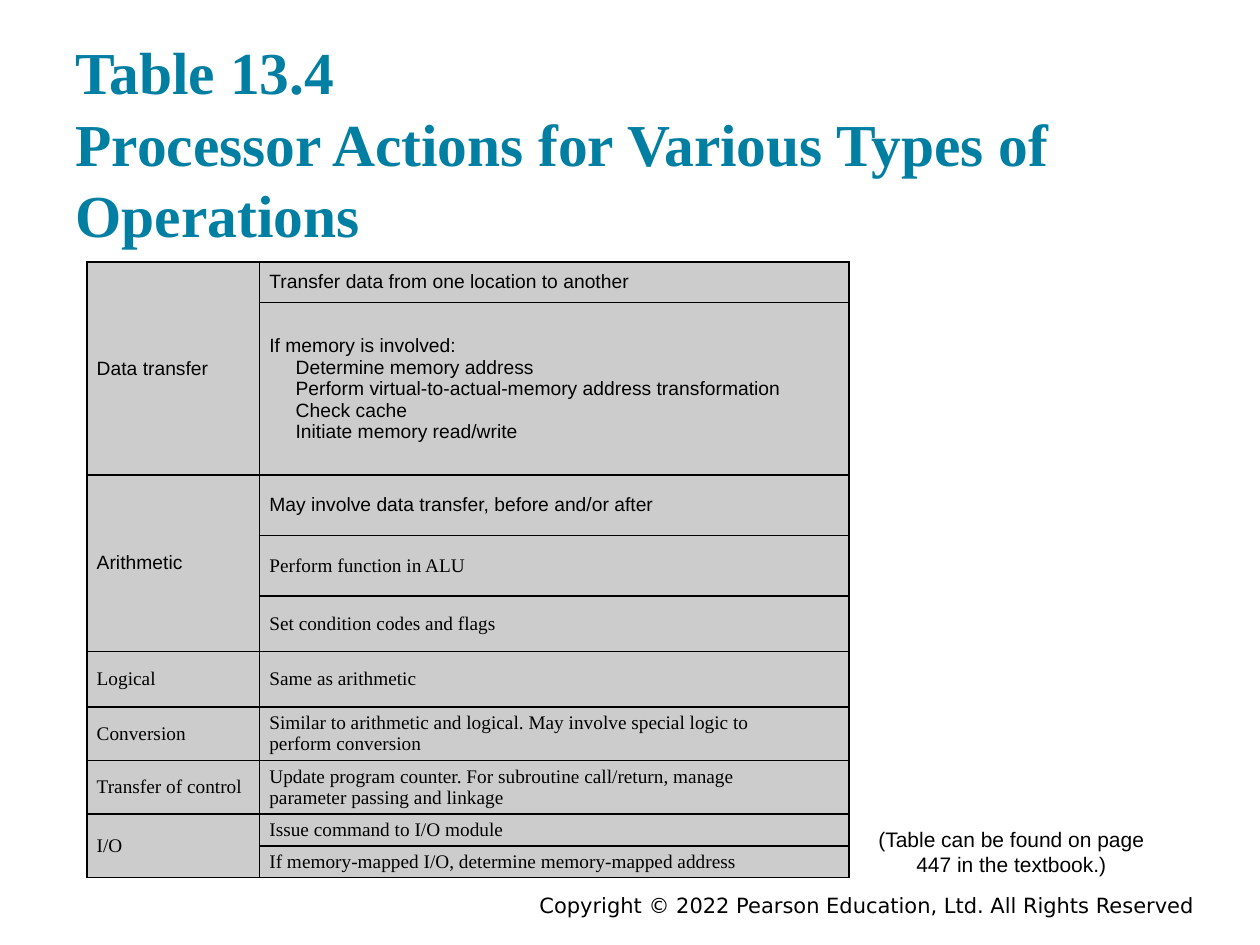
import pptx
import pptx.dml.color
import pptx.enum.text
import pptx.oxml
import pptx.oxml.ns
import pptx.util
from pptx.util import Cm

SANS, SERIF = "Arial", "Times New Roman"
TITLE_LINES = ["Table 13.4 ", "Processor Actions for Various Types of Operations"]
NOTE = "(Table can be found on page 447 in the textbook.)"
COPYRIGHT = "Copyright © 2022 Pearson Education, Ltd. All Rights Reserved"
OPERATIONS = [
    ("Data transfer", SANS, [
        (0.82, SANS, ["Transfer data from one location to another"]),
        (3.48, SANS, [
            "If memory is involved:",
            ("Determine memory address",),
            ("Perform virtual-to-actual-memory address transformation",),
            ("Check cache",),
            ("Initiate memory read/write",),
        ]),
    ]),
    ("Arithmetic", SANS, [
        (1.21, SANS, ["May involve data transfer, before and/or after"]),
        (1.22, SERIF, ["Perform function in ALU"]),
        (1.12, SERIF, ["Set condition codes and flags"]),
    ]),
    ("Logical", SERIF, [(1.12, SERIF, ["Same as arithmetic"])]),
    ("Conversion", SERIF, [
        (1.08, SERIF, ["Similar to arithmetic and logical. May involve special logic to",
                       "perform conversion"]),
    ]),
    ("Transfer of control", SERIF, [
        (1.08, SERIF, ["Update program counter. For subroutine call/return, manage",
                       "parameter passing and linkage"]),
    ]),
    ("I/O", SERIF, [
        (0.64, SERIF, ["Issue command to I/O module"]),
        (0.64, SERIF, ["If memory-mapped I/O, determine memory-mapped address"]),
    ]),
]
COLUMN_WIDTHS = [3.48, 11.88]


def color(value):
    return pptx.dml.color.RGBColor.from_string(value)


def add_run(paragraph, text, font_name, size, hex_color="000000", bold=False):
    run = paragraph.add_run()
    run.text = text
    run.font.name = font_name
    run.font.size = pptx.util.Pt(size)
    run.font.bold = bold
    run.font.color.rgb = color(hex_color)


def add_text(slide, box, text, font_name, alignment):
    shape = slide.shapes.add_textbox(*map(Cm, box))
    shape.text_frame.word_wrap = True
    paragraph = shape.text_frame.paragraphs[0]
    paragraph.alignment = alignment
    add_run(paragraph, text, font_name, 12)


def format_cell(cell):
    cell.margin_left = cell.margin_right = Cm(0.2)
    cell.margin_top = cell.margin_bottom = Cm(0.1)
    cell.vertical_anchor = pptx.enum.text.MSO_ANCHOR.MIDDLE
    properties = cell._tc.get_or_add_tcPr()
    for side in ("lnL", "lnR", "lnT", "lnB"):
        properties.append(pptx.oxml.parse_xml(
            f'<a:{side} {pptx.oxml.ns.nsdecls("a")} w="12700"><a:solidFill>'
            f'<a:srgbClr val="000000"/></a:solidFill></a:{side}>'))
    cell.fill.solid()
    cell.fill.fore_color.rgb = color("CCCCCC")


def fill_cell(cell, lines, font_name):
    for index, line in enumerate(lines):
        frame = cell.text_frame
        paragraph = frame.add_paragraph() if index else frame.paragraphs[0]
        indented = isinstance(line, tuple)
        if indented:
            paragraph._p.get_or_add_pPr().set("marL", str(Cm(0.53)))
        add_run(paragraph, line[0] if indented else line, font_name, 11)


def add_operations_table(slide):
    heights = [height for _, _, actions in OPERATIONS for height, _, _ in actions]
    frame = slide.shapes.add_table(
        len(heights), len(COLUMN_WIDTHS), Cm(1.75), Cm(5.28),
        Cm(sum(COLUMN_WIDTHS)), Cm(sum(heights)))
    table = frame.table
    table.first_row = table.horz_banding = False
    for column, width in zip(table.columns, COLUMN_WIDTHS):
        column.width = Cm(width)
    for row, height in zip(table.rows, heights):
        row.height = Cm(height)
    for cell in table.iter_cells():
        format_cell(cell)
    first = 0
    for label, label_font, actions in OPERATIONS:
        last = first + len(actions) - 1
        if last > first:
            table.cell(first, 0).merge(table.cell(last, 0))
        fill_cell(table.cell(first, 0), [label], label_font)
        for row_index, (_, font_name, lines) in enumerate(actions, first):
            fill_cell(table.cell(row_index, 1), lines, font_name)
        first = last + 1


def add_title(slide):
    title = slide.shapes.title
    title.left, title.top, title.width, title.height = map(Cm, (1.27, 0.69, 22.86, 4.47))
    frame = title.text_frame
    frame.auto_size = pptx.enum.text.MSO_AUTO_SIZE.NONE
    frame.vertical_anchor = pptx.enum.text.MSO_ANCHOR.BOTTOM
    paragraph = frame.paragraphs[0]
    paragraph.alignment = pptx.enum.text.PP_ALIGN.LEFT
    for index, line in enumerate(TITLE_LINES):
        if index:
            paragraph.add_line_break()
        add_run(paragraph, line, SERIF, 34, "007FA3", True)


def main():
    presentation = pptx.Presentation()
    presentation.slide_width, presentation.slide_height = Cm(25.4), Cm(19.05)
    slide = presentation.slides.add_slide(presentation.slide_layouts[5])
    add_title(slide)
    add_operations_table(slide)
    add_text(slide, (17.1, 16.53, 6.58, 1.5), NOTE, SANS,
             pptx.enum.text.PP_ALIGN.CENTER)
    add_text(slide, (4.45, 17.86, 19.88, 0.56), COPYRIGHT, "DejaVu Sans",
             pptx.enum.text.PP_ALIGN.RIGHT)
    presentation.save("out.pptx")


if __name__ == "__main__":
    main()
